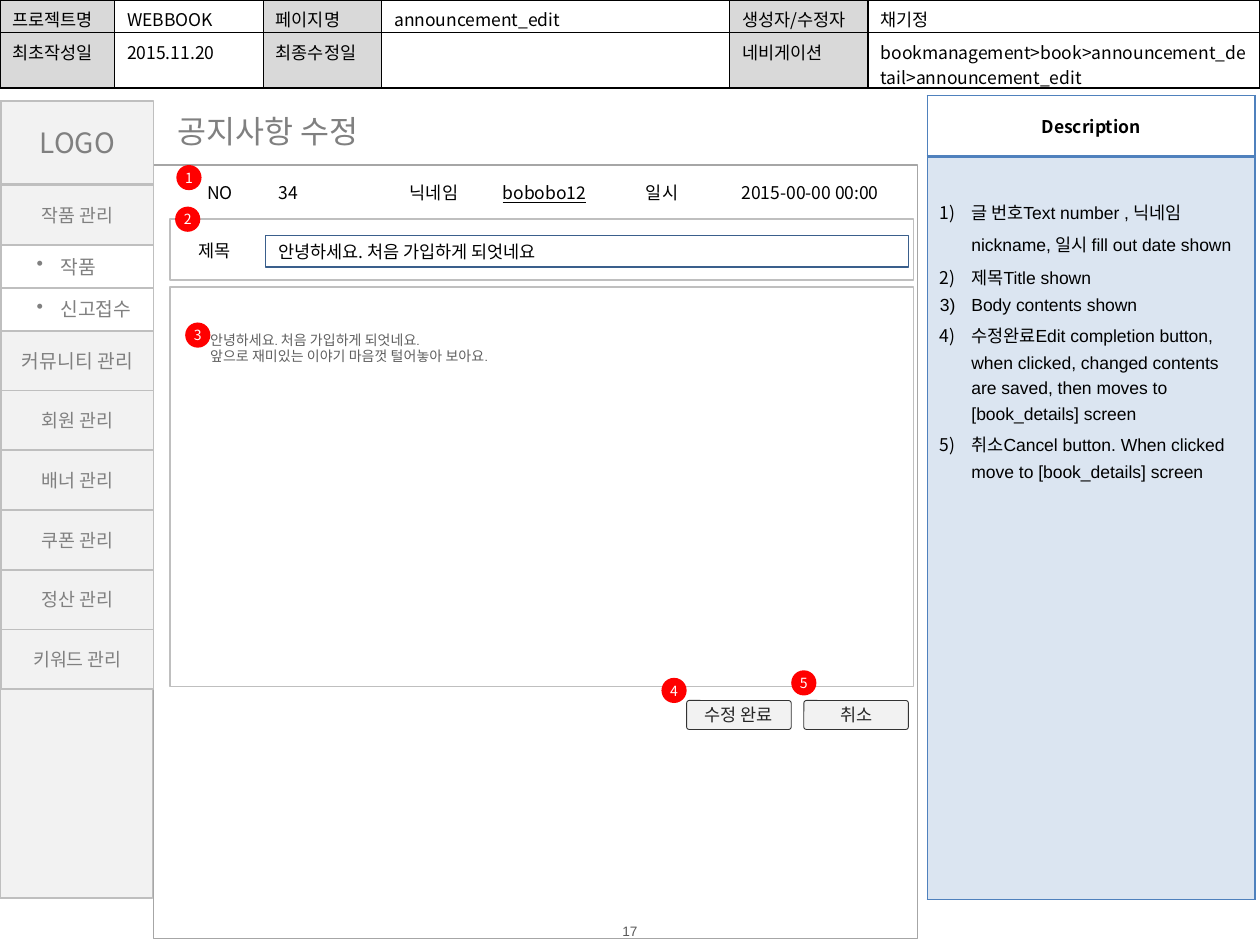
import pptx
import pptx.util
import pptx.oxml.ns
import pptx.dml.color
import pptx.enum.shapes
import pptx.enum.text
from lxml import etree

Inches, Pt = pptx.util.Inches, pptx.util.Pt
Kind = pptx.enum.shapes.MSO_SHAPE
Align = pptx.enum.text.PP_ALIGN
Anchor = pptx.enum.text.MSO_ANCHOR
qn = pptx.oxml.ns.qn

HUE = {
    "black": "000000", "white": "FFFFFF", "head": "D9D9D9", "blue": "4F81BD",
    "field": "3A5F8C", "frame": "A6A6A6", "edge": "BFBFBF", "panel": "F2F2F2",
    "grey": "808080", "body": "5F5F5F", "page": "595959", "red": "FF0000",
    "dark": "333333", "label": "262626",
}
NOTO = "Noto Sans CJK KR"

INFO = [
    ["프로젝트명", "WEBBOOK", "페이지명", "announcement_edit", "생성자/수정자", "채기정"],
    ["최초작성일", "2015.11.20", "최종수정일", "", "네비게이션",
     "bookmanagement>book>announcement_detail>announcement_edit"],
]
NOTES = [
    "글 번호Text number , 닉네임nickname, 일시 fill out date shown",
    "제목Title shown",
    "Body contents shown",
    "수정완료Edit completion button, when clicked, changed contents are saved, "
    "then moves to [book_details] screen",
    "취소Cancel button. When clicked move to [book_details] screen",
]
POST = ["NO", "34", "닉네임", "bobobo12", "일시", "2015-00-00 00:00"]
BODY = ["안녕하세요. 처음 가입하게 되엇네요.", "앞으로 재미있는 이야기 마음껏 털어놓아 보아요."]
MENU = [  # label, size, is a sub-item
    ("작품 관리", 10.5, False), ("작품", 11, True), ("신고접수", 11, True),
    ("커뮤니티 관리", 11, False), ("회원 관리", 10.5, False),
    ("배너 관리", 10.5, False), ("쿠폰 관리", 10.5, False),
    ("정산 관리", 10.5, False), ("키워드 관리", 10.5, False),
]
MARKS = [(1.4, 1.31), (1.39, 1.64), (1.47, 2.56), (5.25, 5.38), (6.28, 5.32)]
BUTTONS = [("수정 완료", 5.45), ("취소", 6.38)]

CENTER = {"alignment": Align.CENTER}
MID = {"vertical_anchor": Anchor.MIDDLE}
FLAT = dict.fromkeys(["margin_left", "margin_top", "margin_right", "margin_bottom"], 0)
THIN = {"margin_top": Inches(0.03), "margin_bottom": Inches(0.03)}


def rgb(name):
    return pptx.dml.color.RGBColor.from_string(HUE[name])


def apply(obj, form):
    for key, val in form.items():
        setattr(obj, key, val)


def write(frame, lines, size=10, hue="black", face=NOTO, para={}, **font):
    """Fill a text frame, one paragraph a line."""
    for i, line in enumerate(lines):
        p = frame.paragraphs[0] if i == 0 else frame.add_paragraph()
        apply(p, para)
        run = p.add_run()
        run.text = line
        apply(run.font, {"size": Pt(size), "name": face, **font})
        run.font.color.rgb = rgb(hue)
        east = etree.SubElement(run._r.get_or_add_rPr(), qn("a:ea"))
        east.set("typeface", NOTO)


def bullet(p, tag, indent, **attrs):
    props = p._p.get_or_add_pPr()
    props.set("marL", str(Inches(indent)))
    props.set("indent", str(-Inches(indent)))
    etree.SubElement(props, qn("a:" + tag), attrs)


def text(slide, at, lines, form={}, **style):
    box = slide.shapes.add_textbox(*map(Inches, at))
    apply(box.text_frame, {"word_wrap": True, **form})
    write(box.text_frame, lines, **style)


def shape(slide, kind, at, fill=None, line=None, width=1):
    item = slide.shapes.add_shape(kind, *map(Inches, at))
    item.shadow.inherit = False
    if fill:
        item.fill.solid()
        item.fill.fore_color.rgb = rgb(fill)
    else:
        item.fill.background()
    if line:
        item.line.color.rgb = rgb(line)
        item.line.width = Pt(width)
    else:
        item.line.fill.background()
    apply(item.text_frame, {"word_wrap": True, **MID})
    return item


def table(slide, at, cols, rows):
    grid = slide.shapes.add_table(len(rows), len(cols), *map(Inches, at)).table
    apply(grid, {"first_row": False, "horz_banding": False})
    for col, size in zip(grid.columns, cols):
        col.width = Inches(size)
    for row, size in zip(grid.rows, rows):
        row.height = Inches(size)
    for cell in grid.iter_cells():
        cell.fill.background()
    return grid


def paint(cell, hue, alpha=None):
    cell.fill.solid()
    cell.fill.fore_color.rgb = rgb(hue)
    if alpha:
        color = cell._tc.tcPr.find(".//" + qn("a:srgbClr"))
        etree.SubElement(color, qn("a:alpha"), val=str(alpha * 1000))


def border(cell, hue, **widths):
    """Draw cell sides; widths are points keyed L, R, T, B in that order."""
    for i, (side, width) in enumerate(widths.items()):
        line = etree.Element(qn("a:ln" + side), w=str(Pt(width)))
        solid = etree.SubElement(line, qn("a:solidFill"))
        etree.SubElement(solid, qn("a:srgbClr"), val=HUE[hue])
        cell._tc.get_or_add_tcPr().insert(i, line)


def tables(slide):
    grid = table(slide, (0, 0, 10, 0.7), [0.91, 1.18, 0.94, 2.76, 1.1, 3.11], [0.26, 0.44])
    for r, row in enumerate(INFO):
        for c, label in enumerate(row):
            cell = grid.cell(r, c)
            apply(cell, {"margin_top": Inches(0.05), "margin_bottom": 0})
            if c % 2 == 0:
                paint(cell, "head")
            border(cell, "black", L=1, R=1, T=1, B=1)
            write(cell.text_frame, [label] if label else [])

    grid = table(slide, (7.36, 0.76, 2.6, 6.38), [2.6], [0.48, 5.9])
    head, notes = grid.cell(0, 0), grid.cell(1, 0)
    apply(head, MID)
    border(head, "blue", L=1, R=1, T=1, B=2)
    write(head.text_frame, ["Description"], para=CENTER, bold=True)
    notes.margin_top = Inches(0.28)
    paint(notes, "blue", 20)
    border(notes, "blue", L=1, R=1, T=2, B=1)
    write(notes.text_frame, NOTES, face="Arial", para={"line_spacing": 1.3})
    for p in notes.text_frame.paragraphs:
        bullet(p, "buAutoNum", 0.25, type="arabicParenR")

    grid = table(slide, (1.38, 1.39, 5.82, 0.27), [0.73, 0.89, 0.89, 0.96, 0.81, 1.54], [0.27])
    for c, label in enumerate(POST):
        cell = grid.cell(0, c)
        apply(cell, {**MID, **THIN})
        write(cell.text_frame, [label], para={} if c in (1, 3) else CENTER, underline=c == 3)


def menu(slide):
    left, wide, sub = 0.01, 1.21, 0.34
    shape(slide, Kind.RECTANGLE, (0, 0.8, wide, 6.33), "panel", "edge")
    logo = shape(slide, Kind.RECTANGLE, (left, 0.8, wide, 0.66), "panel", "edge")
    write(logo.text_frame, ["LOGO"], 16, "grey", para=CENTER)
    top, end = 1.47, 5.47
    subs = sum(item[2] for item in MENU)
    tall = (end - top - subs * sub) / (len(MENU) - subs)
    for label, size, nested in MENU:
        high = sub if nested else tall
        tab = shape(slide, Kind.RECTANGLE, (left, top, wide, high),
                    "white" if nested else "panel", "edge")
        frame = tab.text_frame
        write(frame, [label], size, "grey",
              para={"alignment": Align.LEFT} if nested else CENTER)
        if nested:
            frame.margin_left = Inches(0.28)
            bullet(frame.paragraphs[0], "buChar", 0.19, char="•")
        top += high


def form(slide):
    text(slide, (1.31, 0.84, 1.81, 0.4), ["공지사항 수정"], {"word_wrap": False},
         size=18, hue="grey")
    for at, line, width in [
        ((1.22, 1.31, 6.06, 6.14), "frame", 0.75),
        ((1.35, 2.28, 5.9, 3.17), "edge", 1),
        ((1.35, 1.74, 5.9, 0.48), "edge", 1),
        ((2.11, 1.87, 5.1, 0.25), "field", 0.75),
    ]:
        shape(slide, Kind.RECTANGLE, at, None, line, width)
    text(slide, (1.57, 2.58, 5.4, 0.37), BODY, size=8, hue="body", face="Cabin")
    text(slide, (1.48, 1.85, 1.89, 0.27), ["제목"], MID)
    text(slide, (2.11, 1.87, 3.25, 0.25), ["안녕하세요. 처음 가입하게 되엇네요"], MID)
    for label, left in BUTTONS:
        key = shape(slide, Kind.ROUNDED_RECTANGLE, (left, 5.56, 0.83, 0.23),
                    "panel", "dark", 0.5)
        key.adjustments[0] = 0.09
        write(key.text_frame, [label], hue="label", face="Calibri", para=CENTER)
    for n, (left, top) in enumerate(MARKS, 1):
        dot = shape(slide, Kind.OVAL, (left, top, 0.2, 0.2), "red")
        apply(dot.text_frame, FLAT)
        write(dot.text_frame, [str(n)], 8, "white", para=CENTER)


def main():
    deck = pptx.Presentation()
    apply(deck, {"slide_width": Inches(10), "slide_height": Inches(7.5)})
    slide = deck.slides.add_slide(deck.slide_layouts[6])
    text(slide, (4.57, 7.32, 0.86, 0.14), ["17"], {**MID, **FLAT},
         size=7.8, hue="page", face="Arial", para=CENTER)
    tables(slide)
    form(slide)
    menu(slide)
    deck.save("out.pptx")


if __name__ == "__main__":
    main()
